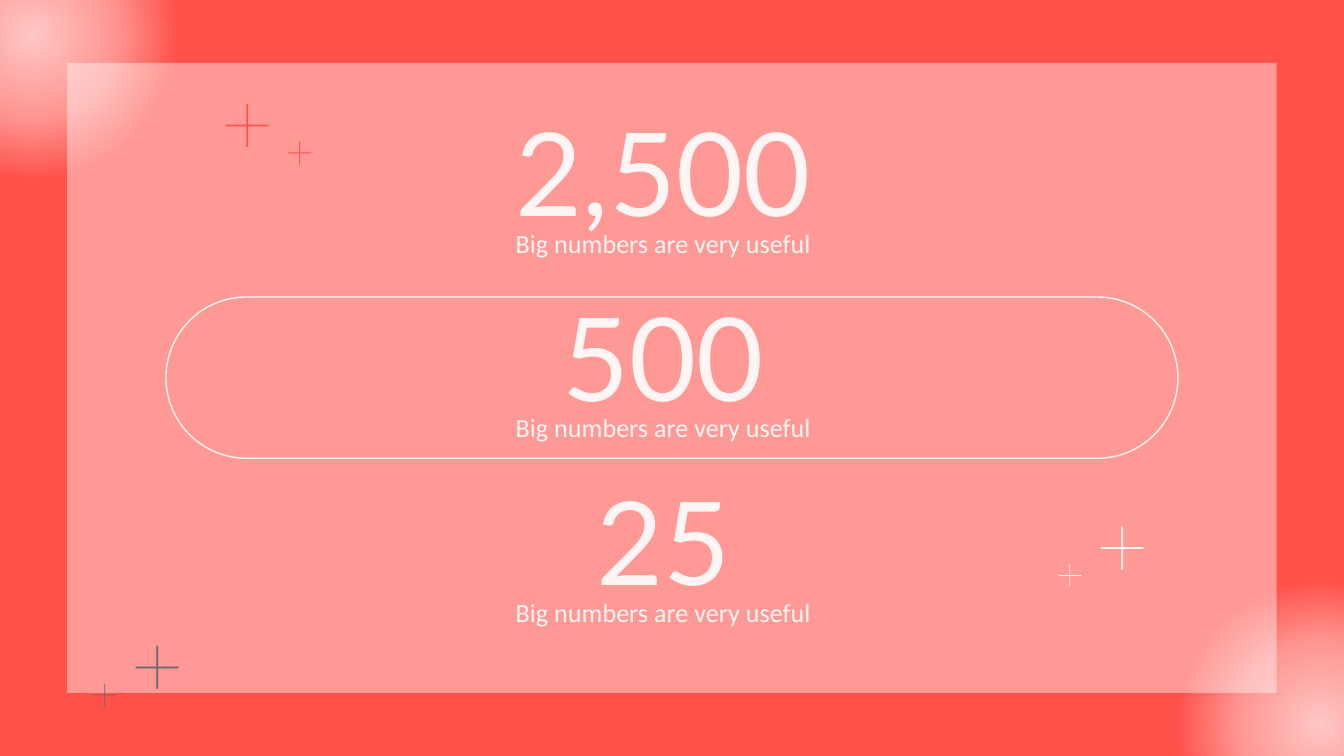
import lxml.etree
import pptx
import pptx.dml.color
import pptx.enum.shapes
import pptx.enum.text
import pptx.oxml
import pptx.oxml.ns
import pptx.util

SHAPE = pptx.enum.shapes.MSO_SHAPE
CREAM, CORAL, PINK, SLATE = "FFF5F5", "FF524B", "FF9995", "626870"

prs = pptx.Presentation()
prs.slide_width = pptx.util.Inches(10)
prs.slide_height = pptx.util.Inches(5.625)
W, H = prs.slide_width, prs.slide_height
s = prs.slides.add_slide(prs.slide_layouts[6])


def rgb(value):
    return pptx.dml.color.RGBColor.from_string(value)


def add_plain(shapes, kind, box, fill=None, line=None):
    """Add a shadowless shape; without a colour, its fill or line is empty."""
    sp = shapes.add_shape(kind, *(round(v) for v in box))
    sp.shadow.inherit = False
    for part, colour in ((sp.fill, fill), (sp.line.fill, line)):
        if colour:
            part.solid()
            part.fore_color.rgb = rgb(colour)
        else:
            part.background()
    return sp


s.background.fill.solid()
s.background.fill.fore_color.rgb = rgb(CORAL)

# Panel
add_plain(s.shapes, SHAPE.RECTANGLE, (W / 20, H / 12, W * 0.9, H * 10 / 12), PINK)

# Soft glows in opposite corners: (position %, opacity %) from the centre out
stops = "".join(
    f'<a:gs pos="{pos * 1000}"><a:srgbClr val="FFFFFF">'
    f'<a:alpha val="{opacity * 1000}"/></a:srgbClr></a:gs>'
    for pos, opacity in ((0, 68), (39, 38), (66, 0), (100, 0))
)
glow = (
    f'<a:gradFill {pptx.oxml.ns.nsdecls("a")} rotWithShape="1"><a:gsLst>{stops}</a:gsLst>'
    '<a:path path="circle"><a:fillToRect l="50000" t="50000" r="50000" b="50000"/>'
    "</a:path></a:gradFill>"
)
size = W * 0.229
for cx, cy in ((W * 0.0245, H * 0.0453), (W * 0.9825, H * 0.9591)):
    sp = add_plain(s.shapes, SHAPE.OVAL, (cx - size / 2, cy - size / 2, size, size))
    empty = sp._element.spPr.find(pptx.oxml.ns.qn("a:noFill"))
    empty.getparent().replace(empty, pptx.oxml.parse_xml(glow))

# Capsule around the middle row
sp = add_plain(s.shapes, SHAPE.ROUNDED_RECTANGLE,
               (W * 0.1235, H * 0.3929, W * 0.753, H * 0.2133), line=CREAM)
sp.adjustments[0] = 0.5
sp.line.width = pptx.util.Pt(0.75)

# Three rows, each a big number above its caption
top, pitch = H * 0.16, H * 0.2436
number = dict(offset=0, height=H * 0.1316,
              font=dict(name="Lato", size=pptx.util.Pt(62)))
caption = dict(offset=H * 0.1307, height=H * 0.0622,
               font=dict(name="Calibri", size=pptx.util.Pt(14)))
frame = dict(word_wrap=True, vertical_anchor=pptx.enum.text.MSO_ANCHOR.MIDDLE)
frame.update({f"margin_{side}": pptx.util.Inches(0.1)
              for side in ("left", "right", "top", "bottom")})
for row, figure in enumerate(("2,500", "500", "25")):
    for text, style in ((figure, number), ("Big numbers are very useful", caption)):
        y = top + row * pitch + style["offset"]
        sp = s.shapes.add_textbox(round(W * 0.269), round(y),
                                  round(W * 0.449), round(style["height"]))
        tf = sp.text_frame
        for key, value in frame.items():
            setattr(tf, key, value)
        p = tf.paragraphs[0]
        p.alignment = pptx.enum.text.PP_ALIGN.CENTER
        r = p.add_run()
        r.text = text
        for key, value in style["font"].items():
            setattr(r.font, key, value)
        r.font.color.rgb = rgb(CREAM)

# Pairs of crosses: a large one, and a small one below it to the left or right
for x, y, side, colour in ((0.117, 0.883, -1, SLATE),
                           (0.835, 0.725, -1, CREAM),
                           (0.184, 0.166, 1, CORAL)):
    large = (W * x, H * y, W * 0.032, pptx.util.Pt(1))
    small = (W * (x + side * 0.039), H * (y + 0.0364), W * 0.017, pptx.util.Pt(0.5))
    for cx, cy, arm, thick in (large, small):
        group = s.shapes.add_group_shape()
        for w, h in ((thick, arm), (arm, thick)):
            add_plain(group.shapes, SHAPE.RECTANGLE, (cx - w / 2, cy - h / 2, w, h), colour)

prs.save("out.pptx")
